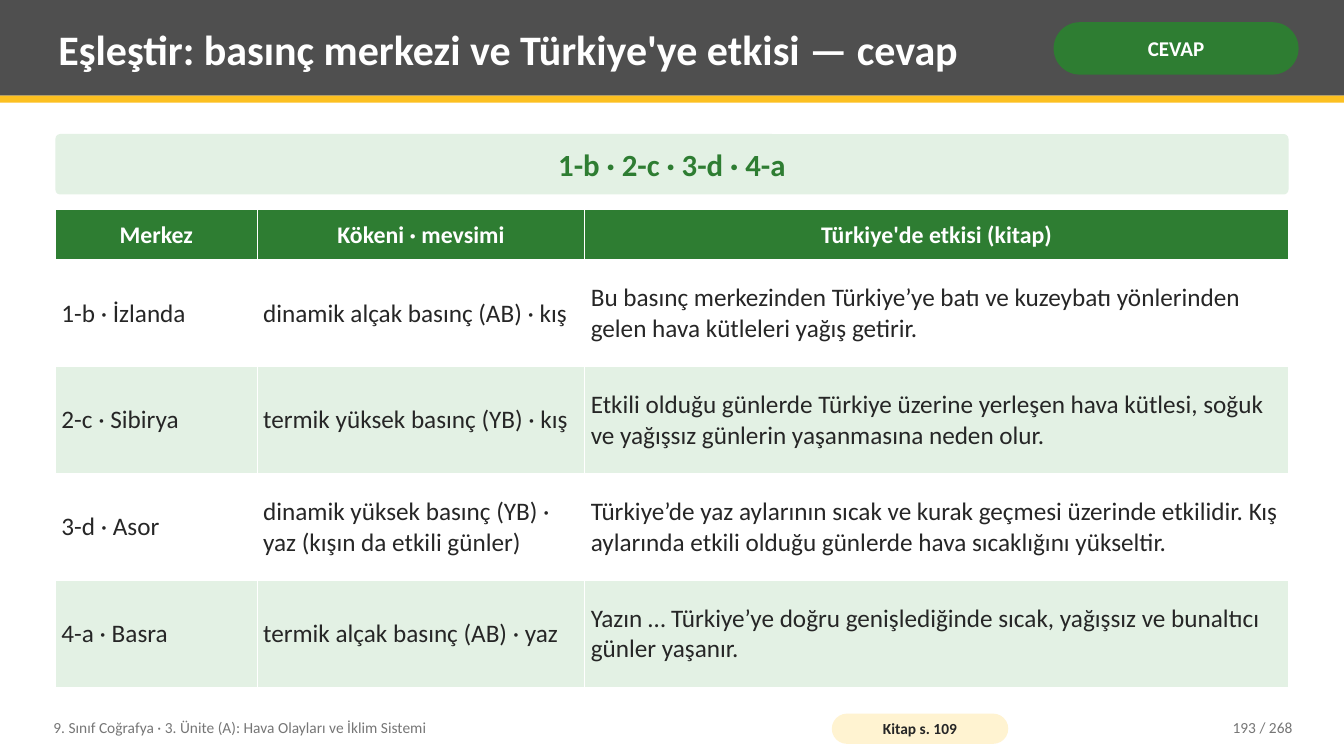
from pptx import Presentation
from pptx.dml.color import RGBColor
from pptx.enum.shapes import MSO_SHAPE
from pptx.enum.text import MSO_ANCHOR, MSO_AUTO_SIZE, PP_ALIGN
from pptx.oxml import parse_xml
from pptx.oxml.ns import nsdecls
from pptx.util import Pt

# Content
TITLE = "Eşleştir: basınç merkezi ve Türkiye'ye etkisi — cevap"
BADGE = "CEVAP"
KEY = "1-b · 2-c · 3-d · 4-a"
UNIT = "9. Sınıf Coğrafya · 3. Ünite (A): Hava Olayları ve İklim Sistemi"
BOOK = "Kitap s. 109"
PAGE = "193 / 268"
ROWS = [
    ("Merkez", "Kökeni · mevsimi", "Türkiye'de etkisi (kitap)"),
    ("1-b · İzlanda", "dinamik alçak basınç (AB) · kış",
     "Bu basınç merkezinden Türkiye’ye batı ve kuzeybatı yönlerinden gelen "
     "hava kütleleri yağış getirir."),
    ("2-c · Sibirya", "termik yüksek basınç (YB) · kış",
     "Etkili olduğu günlerde Türkiye üzerine yerleşen hava kütlesi, soğuk "
     "ve yağışsız günlerin yaşanmasına neden olur."),
    ("3-d · Asor", "dinamik yüksek basınç (YB) · yaz (kışın da etkili günler)",
     "Türkiye’de yaz aylarının sıcak ve kurak geçmesi üzerinde etkilidir. "
     "Kış aylarında etkili olduğu günlerde hava sıcaklığını yükseltir."),
    ("4-a · Basra", "termik alçak basınç (AB) · yaz",
     "Yazın … Türkiye’ye doğru genişlediğinde sıcak, yağışsız ve bunaltıcı "
     "günler yaşanır."),
]

# Look: 100 px to the inch
PX = 9144
FONT = "Calibri"
GREEN, PALE, WHITE = "2E7D32", "E3F1E4", "FFFFFF"
INK, GREY, SLATE, GOLD, CREAM = "262626", "767676", "4F4F4F", "FCC021", "FFF3D1"
LEFT, CENTER, RIGHT = PP_ALIGN.LEFT, PP_ALIGN.CENTER, PP_ALIGN.RIGHT
COLS = (200, 325, 698)
HEAD, BODY = 50, 106


def color(code):
    return RGBColor.from_string(code)


def emu(*sizes):
    return [size * PX for size in sizes]


def write(frame, text, size, code, bold=False, align=LEFT):
    frame.text = text
    par = frame.paragraphs[0]
    par.alignment = align
    par.font.name, par.font.size, par.font.bold = FONT, Pt(size), bold
    par.font.color.rgb = color(code)


def fit(frame, side, top):
    frame.word_wrap = True
    frame.auto_size = MSO_AUTO_SIZE.NONE
    frame.vertical_anchor = MSO_ANCHOR.MIDDLE
    frame.margin_left = frame.margin_right = side * PX
    frame.margin_top = frame.margin_bottom = top * PX


def block(box, fill, round=None):
    kind = MSO_SHAPE.RECTANGLE if round is None else MSO_SHAPE.ROUNDED_RECTANGLE
    shape = shapes.add_shape(kind, *emu(*box))
    shape.shadow.inherit = False
    shape.fill.solid()
    shape.fill.fore_color.rgb = color(fill)
    shape.line.fill.background()
    if round is not None:
        shape.adjustments[0] = round
    return shape


def label(box, fill, round, side, top, text, size, code):
    frame = block(box, fill, round).text_frame
    fit(frame, side, top)
    write(frame, text, size, code, True, CENTER)


def note(box, text, align):
    frame = shapes.add_textbox(*emu(*box)).text_frame
    fit(frame, 8, 4)
    write(frame, text, 11, GREY, align=align)


def border(cell):
    props = cell._tc.get_or_add_tcPr()
    for side in "LRTB":
        props.append(parse_xml(
            f'<a:ln{side} {nsdecls("a")} w="12192"><a:solidFill>'
            f'<a:srgbClr val="{WHITE}"/></a:solidFill></a:ln{side}>'))


deck = Presentation()
deck.slide_width, deck.slide_height = emu(1333, 750)
slide = deck.slides.add_slide(deck.slide_layouts[5])
shapes = slide.shapes

# Header band, with the title brought in front of it
block((0, 0, 1333, 95), SLATE)
block((0, 95, 1333, 7), GOLD)
title = shapes.title
title.left, title.top, title.width, title.height = emu(50, 7, 975, 82)
fit(title.text_frame, 8, 4)
write(title.text_frame, TITLE, 30, WHITE, True)
shapes.element.append(title.element)
label((1045, 22, 243, 52), GREEN, 0.5, 5, 2, BADGE, 15, WHITE)

# Answer key
label((55, 133, 1223, 60), PALE, 0.08, 14, 0, KEY, 22, GREEN)

# Table of pressure centres
high = HEAD + BODY * (len(ROWS) - 1)
table = shapes.add_table(len(ROWS), len(COLS),
                         *emu(55, 208, sum(COLS), high)).table
for col, wide in zip(table.columns, COLS):
    col.width = wide * PX
for r, row in enumerate(ROWS):
    top = r == 0
    table.rows[r].height = (HEAD if top else BODY) * PX
    for c, text in enumerate(row):
        cell = table.cell(r, c)
        border(cell)
        cell.fill.solid()
        cell.fill.fore_color.rgb = color(GREEN if top else WHITE if r % 2 else PALE)
        cell.vertical_anchor = MSO_ANCHOR.MIDDLE
        cell.margin_left = cell.margin_right = 6 * PX
        cell.margin_top = cell.margin_bottom = 5 * PX
        if top:
            write(cell.text_frame, text, 17, WHITE, True, CENTER)
        else:
            write(cell.text_frame, text, 18, INK)

# Footer
note((45, 704, 760, 36), UNIT, LEFT)
label((825, 708, 175, 30), CREAM, 0.5, 4, 0, BOOK, 11, INK)
note((1130, 704, 160, 36), PAGE, RIGHT)

deck.save("out.pptx")
